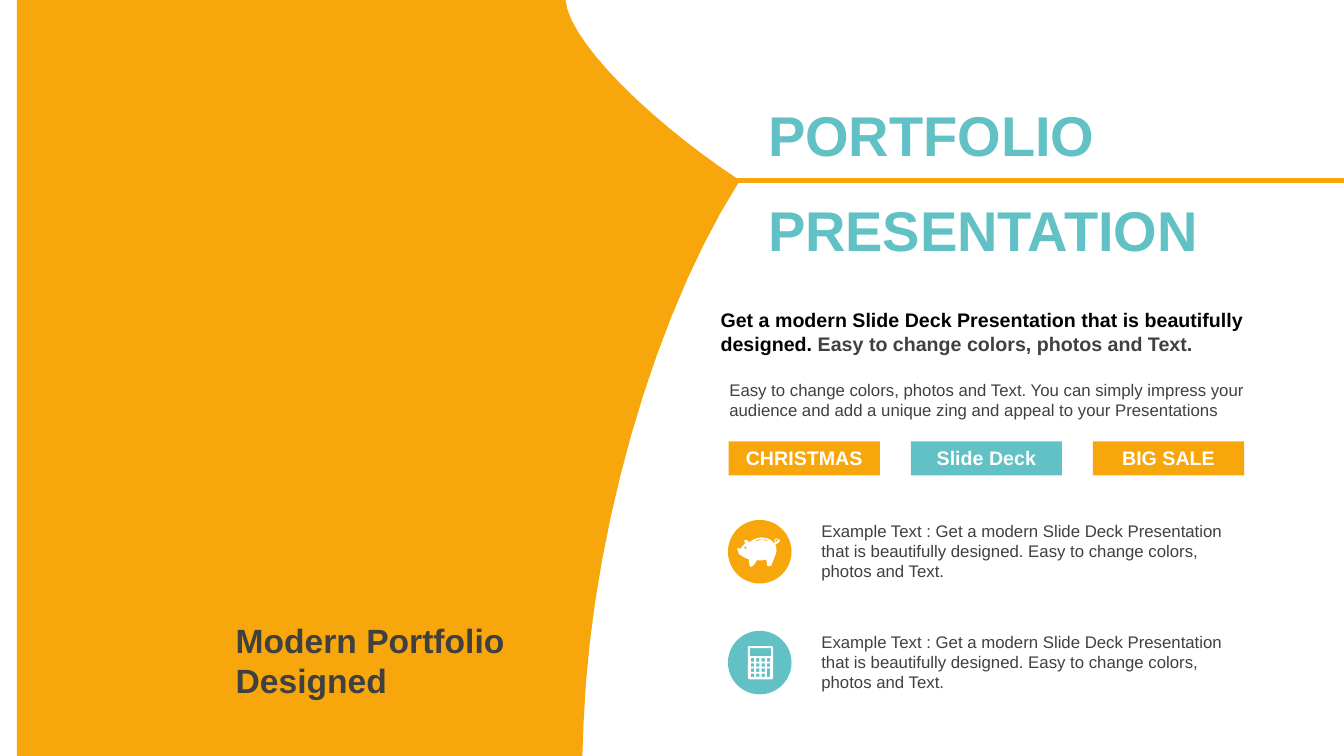
import lxml.etree
import pptx
import pptx.dml.color
import pptx.enum.shapes
import pptx.enum.text
import pptx.oxml.ns
import pptx.util

Pt = pptx.util.Pt
ORANGE = pptx.dml.color.RGBColor(0xF7, 0xA6, 0x0B)
TEAL = pptx.dml.color.RGBColor(0x62, 0xC1, 0xC5)
GRAY = pptx.dml.color.RGBColor(0x40, 0x40, 0x40)
BLACK = pptx.dml.color.RGBColor(0, 0, 0)
WHITE = pptx.dml.color.RGBColor(0xFF, 0xFF, 0xFF)
LEFT = pptx.enum.text.PP_ALIGN.LEFT
CENTER = pptx.enum.text.PP_ALIGN.CENTER
TOP = pptx.enum.text.MSO_ANCHOR.TOP
MIDDLE = pptx.enum.text.MSO_ANCHOR.MIDDLE

ICON_UNIT = 0.72
PANEL_STEPS = 14
ICON_STEPS = 3
PANEL = [(0, 0), (392, 0), (394, 29.5, 453.8, 87.8, 516.5, 128.9),
         (453.1, 228.2, 409.9, 386.6, 404.9, 515.5), (404, 540), (0, 540)]
PIG_BODY = [
    (24, 0), (29, 0, 34, 2, 36, 5), (37, 6), (38, 5),
    (37, 5, 37, 4, 37, 3), (37, 2, 38, 1, 39, 1), (40, 1, 41, 2, 41, 3),
    (41, 4), (42, 1), (43, 4, 42, 5, 40, 6),
    (38, 7), (39, 10), (40, 14, 38, 18, 37, 20),
    (36, 23, 35, 25, 34, 28), (34, 29, 30, 29, 30, 28),
    (30, 27, 29, 24, 29, 22), (26, 23, 22, 23, 19, 23),
    (19, 25, 17, 27, 15, 29), (13, 29), (12, 29, 12, 24, 12, 22),
    (8, 20, -1, 18, 0, 11), (4, 11), (5, 9, 6, 8, 8, 6),
    (8, 5, 7, 3, 7, 3), (10, 1, 11, 4, 12, 5), (15, 2, 21, 0, 24, 0)]
PIG_SLOT = [(19, 3), (19, 4), (23, 2, 27, 2, 30, 4), (30, 3),
            (29, 2, 27, 2, 25, 2), (23, 2, 21, 2, 19, 3)]


def rectangle(left, top, width, height):
    """Return the contour of a plain rectangle."""
    right, bottom = left + width, top + height
    return [(left, top), (right, top), (right, bottom), (left, bottom)]


def rounded_rectangle(left, top, width, height, radius):
    """Return the contour of a rectangle with rounded corners."""
    right, bottom = left + width, top + height
    return [
        (left + radius, top), (right - radius, top),
        (right, top, right, top, right, top + radius), (right, bottom - radius),
        (right, bottom, right, bottom, right - radius, bottom), (left + radius, bottom),
        (left, bottom, left, bottom, left, bottom - radius), (left, top + radius),
        (left, top, left, top, left + radius, top)]


def pig_contours():
    """Return the piggy bank outline with its eye, slot and tail loop."""
    return [PIG_BODY, PIG_SLOT, rectangle(7.3, 9.3, 2, 2), rectangle(38, 2, 2, 2)]


def calculator_contours():
    """Return the calculator case with its screen and keys."""
    contours = [rounded_rectangle(0, 0, 25, 33, 3), rounded_rectangle(2, 2, 21, 8, 1)]
    for row in range(4):
        for column in range(4):
            if (row, column) == (3, 3):
                continue
            height = 8.5 if (row, column) == (2, 3) else 3.4
            contours.append(rectangle(3 + 5.3 * column, 12 + 5.1 * row, 3.2, height))
    return contours


def flatten(contour, steps):
    """Turn a contour of lines and cubic curves into points."""
    points = [contour[0]]
    for segment in contour[1:]:
        if len(segment) == 2:
            points.append(segment)
            continue
        controls = [points[-1], segment[:2], segment[2:4], segment[4:]]
        for step in range(1, steps + 1):
            t = step / steps
            weights = ((1 - t) ** 3, 3 * t * (1 - t) ** 2, 3 * t * t * (1 - t), t ** 3)
            points.append(tuple(
                sum(weight * control[axis] for weight, control in zip(weights, controls))
                for axis in (0, 1)))
    return points


def paint(shape, color):
    """Give a shape a plain fill without line or shadow."""
    shape.fill.solid()
    shape.fill.fore_color.rgb = color
    shape.line.fill.background()
    shape.shadow.inherit = False


def add_outline(slide, left, top, contours, color, steps, unit=1):
    """Draw contours as one filled freeform from a top left corner."""
    builder = None
    for contour in contours:
        points = [(Pt(left + x * unit), Pt(top + y * unit))
                  for x, y in flatten(contour, steps)]
        if builder is None:
            builder = slide.shapes.build_freeform(*points[0], scale=1.0)
        else:
            builder.move_to(*points[0])
        builder.add_line_segments(points[1:], close=True)
    paint(builder.convert_to_shape(), color)


def place(shape, left, top, width, height):
    """Move a shape to a box given in points."""
    shape.left, shape.top, shape.width, shape.height = map(Pt, (left, top, width, height))


def write(shape, runs, size, bold=False, alignment=LEFT, anchor=TOP):
    """Write one paragraph of (text, color) runs into a shape."""
    frame = shape.text_frame
    frame.word_wrap = True
    frame.auto_size = pptx.enum.text.MSO_AUTO_SIZE.NONE
    frame.vertical_anchor = anchor
    paragraph = frame.paragraphs[0]
    paragraph.alignment = alignment
    paragraph.space_before = Pt(0)
    for text, color in runs:
        run = paragraph.add_run()
        run.text = text
        run.font.name = "Arial"
        run.font.size = Pt(size)
        run.font.bold = bold
        run.font.color.rgb = color


def add_text(slide, box, runs, size, bold=False):
    """Add a wrapped text box."""
    write(slide.shapes.add_textbox(*map(Pt, box)), runs, size, bold)


def add_panel(slide, left, top):
    """Draw the curved panel, its rule and its caption."""
    add_outline(slide, left, top, [PANEL], ORANGE, PANEL_STEPS)
    rule_top = Pt(top + 128.9)
    rule = slide.shapes.add_connector(
        pptx.enum.shapes.MSO_CONNECTOR.STRAIGHT, Pt(left + 479), rule_top, Pt(960), rule_top)
    rule.line.color.rgb = ORANGE
    rule.line.width = Pt(3)
    lxml.etree.SubElement(rule.element.spPr, pptx.oxml.ns.qn("a:effectLst"))
    add_text(slide, (left + 149.3, top + 439.2, 207.4, 65.5),
             [("Modern Portfolio Designed", GRAY)], 24, True)


def fill_titles(slide, left, top, width):
    """Fill the title and subtitle above and below the rule."""
    for index, text in enumerate(("PORTFOLIO", "PRESENTATION")):
        placeholder = slide.placeholders[index]
        place(placeholder, left, top + 67.8 * index, width, 57)
        placeholder.text_frame.margin_left = 0
        write(placeholder, [(text, TEAL)], 40, True, anchor=MIDDLE)


def add_introduction(slide, left, top):
    """Add the bold statement and the paragraph under it."""
    add_text(slide, (left, top, 418.3, 41),
             [("Get a modern Slide Deck Presentation that is beautifully designed. ", BLACK),
              ("Easy to change colors, photos and Text.", GRAY)], 14, True)
    add_text(slide, (left + 6.3, top + 51.1, 410.4, 36),
             [("Easy to change colors, photos and Text. You can simply impress your "
               "audience and add a unique zing and appeal to your Presentations", GRAY)], 12)


def add_labels(slide, left, top):
    """Add the row of coloured labels."""
    labels = (("CHRISTMAS", ORANGE), ("Slide Deck", TEAL), ("BIG SALE", ORANGE))
    for index, (text, color) in enumerate(labels):
        label = slide.shapes.add_shape(
            pptx.enum.shapes.MSO_SHAPE.RECTANGLE,
            Pt(left + 130.1 * index), Pt(top), Pt(108), Pt(24.3))
        paint(label, color)
        write(label, [(text, WHITE)], 14, True, CENTER)


def add_example(slide, left, top, color, contours, icon_left, icon_top):
    """Add a round icon with its example text."""
    circle = slide.shapes.add_shape(
        pptx.enum.shapes.MSO_SHAPE.OVAL, Pt(left), Pt(top), Pt(45.4), Pt(45.4))
    paint(circle, color)
    add_outline(slide, left + icon_left, top + icon_top, contours, WHITE, ICON_STEPS, ICON_UNIT)
    add_text(slide, (left + 59.6, top - 2.9, 308.9, 51.1),
             [("Example Text : Get a modern Slide Deck Presentation that is beautifully "
               "designed. Easy to change colors, photos and Text.", GRAY)], 12)


def main():
    """Build and save the portfolio slide."""
    presentation = pptx.Presentation()
    presentation.slide_width, presentation.slide_height = Pt(960), Pt(540)
    slide = presentation.slides.add_slide(presentation.slide_layouts[0])
    add_panel(slide, 12, 0)
    fill_titles(slide, 548.6, 67, 346.3)
    add_introduction(slide, 507.6, 216.7)
    add_labels(slide, 520.5, 315.3)
    add_example(slide, 520, 371.4, ORANGE, pig_contours(), 6.5, 12.4)
    add_example(slide, 520, 450.6, TEAL, calculator_contours(), 14.2, 10.9)
    presentation.save("out.pptx")


if __name__ == "__main__":
    main()
